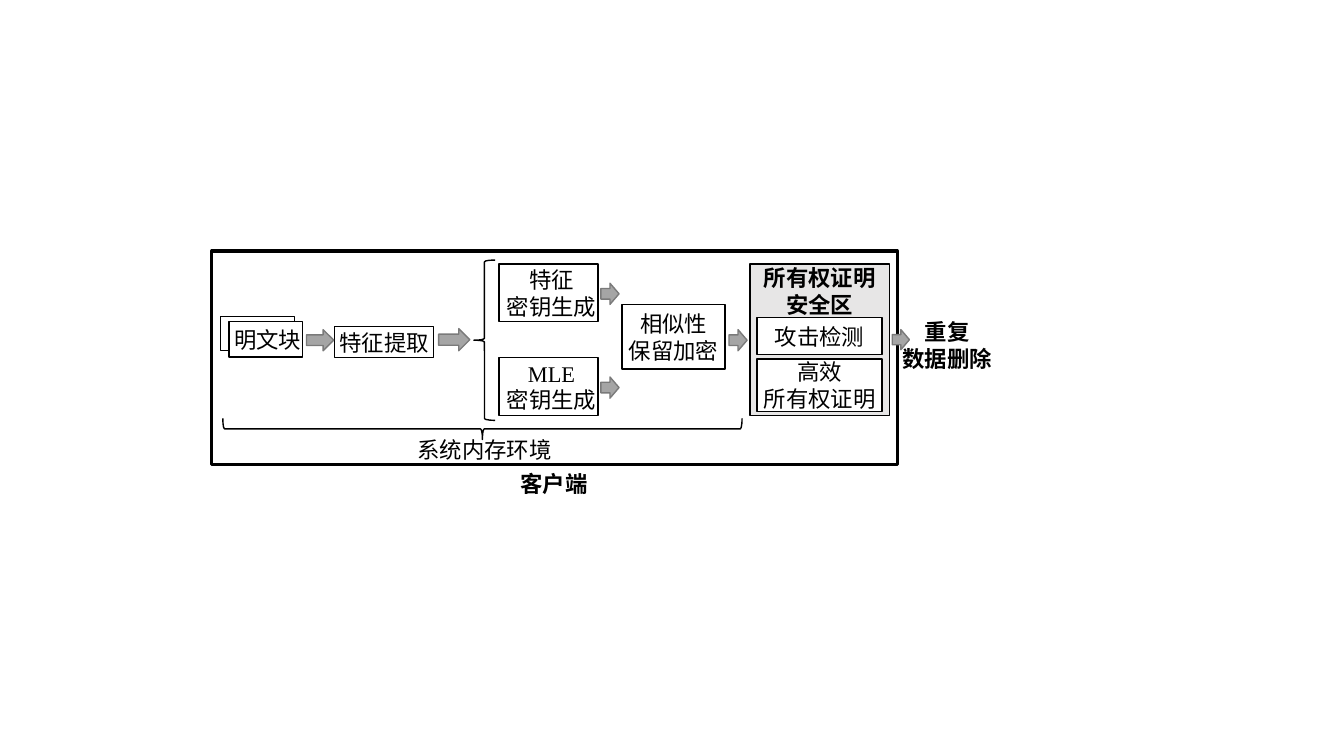
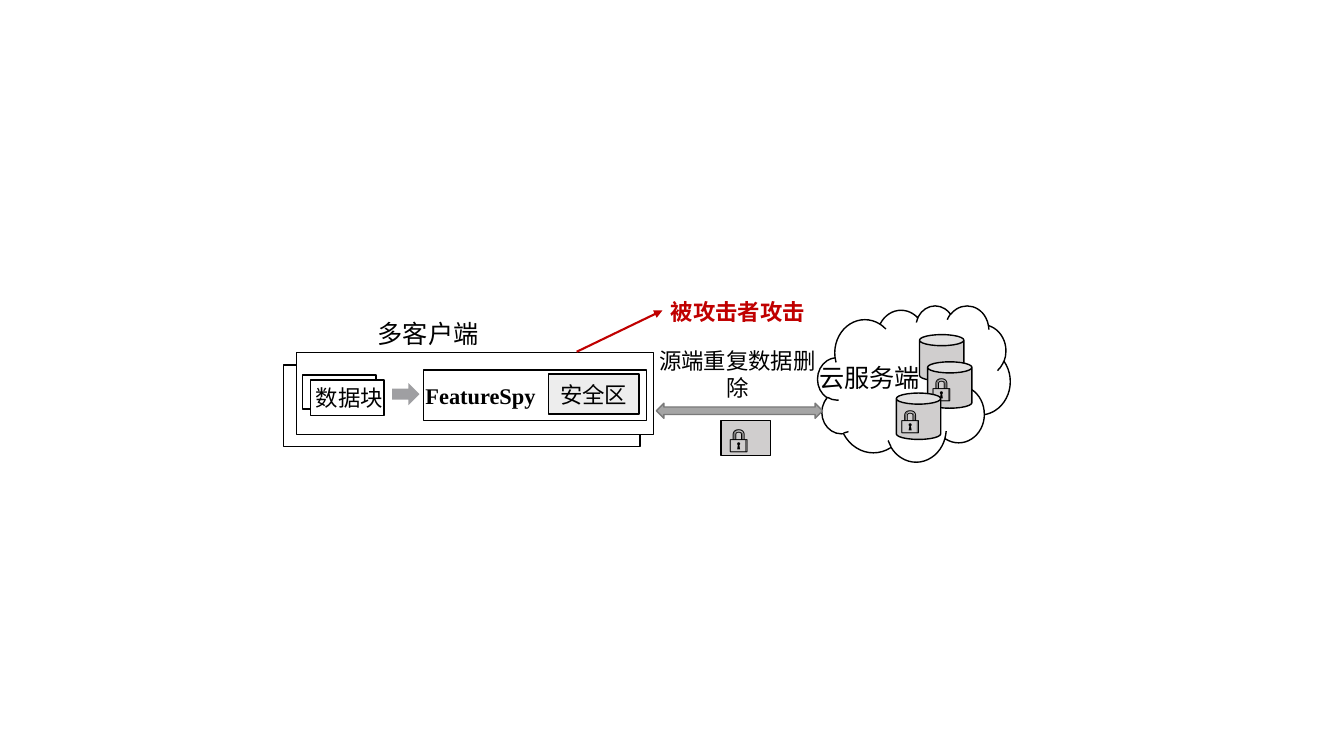
from lxml.etree import SubElement
from pptx import Presentation
from pptx.dml.color import RGBColor
from pptx.enum.shapes import MSO_CONNECTOR, MSO_SHAPE
from pptx.enum.text import MSO_ANCHOR, PP_ALIGN
from pptx.oxml.ns import qn
from pptx.util import Emu, Pt

FONT = "Times New Roman"
BLACK, WHITE, RED = "000000", "FFFFFF", "C00000"
ARROW_FILL, ARROW_LINE, CHUNK_ARROW = "A5A5A5", "7A7A7A", "9F9FA2"
PANEL, ENCLAVE, STORAGE = "E7E6E6", "EDEDED", "D0CECE"
LOCK = "🔒"


def px(n):
    return Emu(n * 9144)


def rgb(value):
    return RGBColor.from_string(value)


def write(sp, text, size=16, color=BLACK, bold=False, align=PP_ALIGN.CENTER,
          anchor=MSO_ANCHOR.MIDDLE, wrap=False, inset=0):
    tf = sp.text_frame
    tf.word_wrap = wrap
    tf.vertical_anchor = anchor
    tf.margin_left = px(inset)
    tf.margin_right = tf.margin_top = tf.margin_bottom = 0
    for i, line in enumerate(text.split("\n")):
        p = tf.add_paragraph() if i else tf.paragraphs[0]
        p.alignment = align
        r = p.add_run()
        r.text = line
        r.font.name, r.font.size, r.font.bold = FONT, Pt(size), bold
        r.font.color.rgb = rgb(color)


def shape(shapes, kind, x, y, w, h, fill=WHITE, line=BLACK, weight=1,
          text=None, **fmt):
    sp = shapes.add_shape(kind, px(x), px(y), px(w), px(h))
    sp.shadow.inherit = False
    if fill:
        sp.fill.solid()
        sp.fill.fore_color.rgb = rgb(fill)
    else:
        sp.fill.background()
    if line:
        sp.line.color.rgb = rgb(line)
        sp.line.width = Pt(weight)
    else:
        sp.line.fill.background()
    if text:
        write(sp, text, **fmt)
    return sp


def box(shapes, x, y, w, h, text=None, **fmt):
    return shape(shapes, MSO_SHAPE.RECTANGLE, x, y, w, h, text=text, **fmt)


def label(shapes, x, y, w, h, text, **fmt):
    write(shapes.add_textbox(px(x), px(y), px(w), px(h)), text, **fmt)


def arrow(shapes, x, y, w, h, kind=MSO_SHAPE.RIGHT_ARROW, fill=ARROW_FILL,
          line=ARROW_LINE):
    shape(shapes, kind, x, y, w, h, fill=fill, line=line)


def brace(shapes, x, y, w, h, rotation=0):
    sp = shape(shapes, MSO_SHAPE.LEFT_BRACE, x, y, w, h, fill=None)
    sp.rotation = rotation


def chunk_stack(shapes, x, y, text):
    group = shapes.add_group_shape().shapes
    box(group, x, y, 73, 34)
    box(group, x + 8, y + 5, 73, 35, text, inset=4)


def can(shapes, x, y, text=None):
    shape(shapes, MSO_SHAPE.CAN, x, y, 44, 46, fill=STORAGE, text=text,
          size=18, align=PP_ALIGN.LEFT, inset=4)


def pointer(shapes, x1, y1, x2, y2, color):
    c = shapes.add_connector(MSO_CONNECTOR.STRAIGHT, px(x1), px(y1), px(x2), px(y2))
    c.line.color.rgb = rgb(color)
    c.line.width = Pt(1.5)
    SubElement(c.line._get_or_add_ln(), qn("a:tailEnd"), type="triangle")
    SubElement(c._element.spPr, qn("a:effectLst"))


def client_slide(slide):
    s = slide.shapes.add_group_shape().shapes
    box(s, 210, 249, 680, 212, weight=2.25)
    chunk_stack(s, 219, 314, "明文块")
    box(s, 332, 324, 98, 31, "特征提取")
    for y, text in ((262, "特征\n密钥生成"), (355, "MLE\n密钥生成")):
        box(s, 495, y, 98, 57, text, inset=6)
        arrow(s, 596, y + 19, 18, 21)
    box(s, 617, 302, 102, 64, "相似性\n保留加密")
    box(s, 744, 262, 138, 150, "所有权证明\n安全区", fill=PANEL, bold=True,
        anchor=MSO_ANCHOR.TOP)
    box(s, 751, 315, 124, 37, "攻击检测")
    box(s, 751, 356, 124, 52, "高效\n所有权证明")
    for x, y, w, h in ((304, 327, 27, 21), (435, 326, 31, 22),
                       (723, 327, 18, 21), (885, 327, 17, 20)):
        arrow(s, x, y, w, h)
    brace(s, 470, 258, 21, 159)
    brace(s, 468, 168, 21, 515, rotation=270)
    label(s, 403, 427, 155, 37, "系统内存环境")
    label(s, 447, 461, 205, 37, "客户端", bold=True)
    label(s, 878, 310, 123, 64, "重复\n数据删除", bold=True)


def cloud_slide(slide):
    s = slide.shapes
    for x, y in ((281, 362), (294, 350)):
        box(s, x, y, 354, 81)
    box(s, 420, 367, 221, 50, "FeatureSpy", bold=True, align=PP_ALIGN.LEFT, inset=2)
    box(s, 544, 371, 90, 40, "安全区", fill=ENCLAVE)
    chunk_stack(s, 300, 372, "数据块")
    arrow(s, 389, 380, 27, 22, fill=CHUNK_ARROW, line=None)
    label(s, 364, 311, 121, 40, "多客户端", size=18)
    shape(s, MSO_SHAPE.CLOUD, 811, 303, 191, 155)
    arrow(s, 651, 400, 165, 15, kind=MSO_SHAPE.LEFT_RIGHT_ARROW)
    label(s, 644, 339, 175, 64, "源端重复数据删除", wrap=True)
    box(s, 715, 417, 49, 35, LOCK, fill=STORAGE, size=18,
        align=PP_ALIGN.LEFT, inset=8)
    can(s, 912, 332)
    label(s, 802, 354, 121, 40, "云服务端", size=18)
    can(s, 920, 359, LOCK)
    can(s, 889, 390, LOCK)
    pointer(s, 572, 349, 657, 308, RED)
    label(s, 600, 291, 264, 37, "被攻击者攻击", color=RED, bold=True)


def main():
    prs = Presentation()
    prs.slide_width, prs.slide_height = px(1333), px(750)
    for build in (client_slide, cloud_slide):
        build(prs.slides.add_slide(prs.slide_layouts[6]))
    prs.save("out.pptx")


if __name__ == "__main__":
    main()
